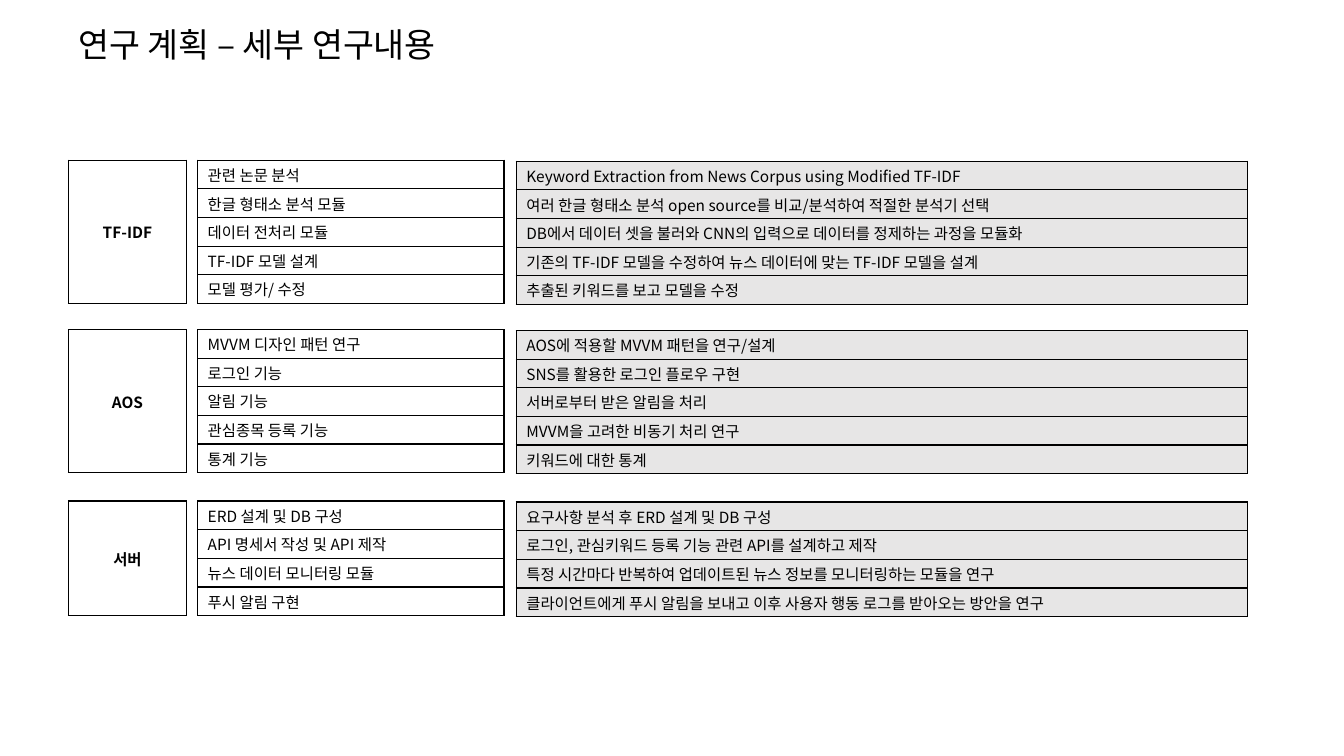
import pptx
import pptx.dml.color
import pptx.enum.text
import pptx.oxml
import pptx.oxml.ns
import pptx.util
from pptx.util import Inches

COLORS = {"ink": "000000", "paper": "FFFFFF", "detail": "E7E6E6"}
FONT = "Noto Sans CJK KR"
ALIGN = pptx.enum.text.PP_ALIGN
MIDDLE = pptx.enum.text.MSO_ANCHOR.MIDDLE

TITLE = "연구 계획 – 세부 연구내용"
SECTIONS = [
    ("TF-IDF", 1.59, 1.42, [
        ("관련 논문 분석", "Keyword Extraction from News Corpus using Modified TF-IDF"),
        ("한글 형태소 분석 모듈", "여러 한글 형태소 분석 open source를 비교/분석하여 적절한 분석기 선택"),
        ("데이터 전처리 모듈", "DB에서 데이터 셋을 불러와 CNN의 입력으로 데이터를 정제하는 과정을 모듈화"),
        ("TF-IDF 모델 설계", "기존의 TF-IDF 모델을 수정하여 뉴스 데이터에 맞는 TF-IDF 모델을 설계"),
        ("모델 평가/ 수정", "추출된 키워드를 보고 모델을 수정"),
    ]),
    ("AOS", 3.27, 1.42, [
        ("MVVM 디자인 패턴 연구", "AOS에 적용할 MVVM 패턴을 연구/설계"),
        ("로그인 기능", "SNS를 활용한 로그인 플로우 구현"),
        ("알림 기능", "서버로부터 받은 알림을 처리"),
        ("관심종목 등록 기능", "MVVM을 고려한 비동기 처리 연구"),
        ("통계 기능", "키워드에 대한 통계"),
    ]),
    ("서버", 4.97, 1.14, [
        ("ERD 설계 및 DB 구성", "요구사항 분석 후 ERD 설계 및 DB 구성"),
        ("API 명세서 작성 및 API 제작", "로그인, 관심키워드 등록 기능 관련 API를 설계하고 제작"),
        ("뉴스 데이터 모니터링 모듈", "특정 시간마다 반복하여 업데이트된 뉴스 정보를 모니터링하는 모듈을 연구"),
        ("푸시 알림 구현", "클라이언트에게 푸시 알림을 보내고 이후 사용자 행동 로그를 받아오는 방안을 연구"),
    ]),
]


def rgb(name):
    return pptx.dml.color.RGBColor.from_string(COLORS[name])


def set_all(target, values):
    for name, value in values.items():
        setattr(target, name, value)


def write(para, text, size, bold=False, align=ALIGN.LEFT):
    para.alignment = align
    span = para.add_run()
    span.text = text
    set_all(span.font, {"name": FONT, "size": pptx.util.Pt(size), "bold": bold})
    span.font.color.rgb = rgb("ink")
    east_asian = pptx.oxml.parse_xml(
        f'<a:ea {pptx.oxml.ns.nsdecls("a")} typeface="{FONT}"/>')
    span.font._element.find(pptx.oxml.ns.qn("a:latin")).addnext(east_asian)


def add_title(page):
    box = page.shapes.add_textbox(Inches(0.68), Inches(0.24), Inches(5.32), Inches(0.5))
    set_all(box.text_frame, {"word_wrap": True, "margin_top": 0, "margin_bottom": 0})
    write(box.text_frame.paragraphs[0], TITLE, 24)


def add_borders(cell):
    properties = cell._tc.get_or_add_tcPr()
    for position, side in enumerate(("lnL", "lnR", "lnT", "lnB")):
        border = pptx.oxml.parse_xml(
            f'<a:{side} {pptx.oxml.ns.nsdecls("a")} w="12700"><a:solidFill>'
            f'<a:srgbClr val="{COLORS["ink"]}"/></a:solidFill></a:{side}>')
        properties.insert(position, border)


def add_column(page, left, top, width, height, texts, fill="paper", **style):
    frame = page.shapes.add_table(
        len(texts), 1, Inches(left), Inches(top), Inches(width), Inches(height))
    table = frame.table
    set_all(table, {"first_row": False, "horz_banding": False})
    for row, text in zip(table.rows, texts):
        row.height = Inches(height / len(texts))
        cell = row.cells[0]
        set_all(cell, {"vertical_anchor": MIDDLE,
                       "margin_top": Inches(0.03), "margin_bottom": Inches(0.03)})
        cell.fill.solid()
        cell.fill.fore_color.rgb = rgb(fill)
        add_borders(cell)
        write(cell.text_frame.paragraphs[0], text, 11, **style)


def add_section(page, name, top, height, rows):
    tasks, details = zip(*rows)
    add_column(page, 0.68, top, 1.17, height, [name], bold=True, align=ALIGN.CENTER)
    add_column(page, 1.96, top, 3.04, height, tasks)
    add_column(page, 5.12, top + 0.01, 7.25, height, details, fill="detail")


def main():
    deck = pptx.Presentation()
    set_all(deck, {"slide_width": Inches(13.33), "slide_height": Inches(7.5)})
    page = deck.slides.add_slide(deck.slide_layouts[6])
    add_title(page)
    for section in SECTIONS:
        add_section(page, *section)
    deck.save("out.pptx")


if __name__ == "__main__":
    main()
